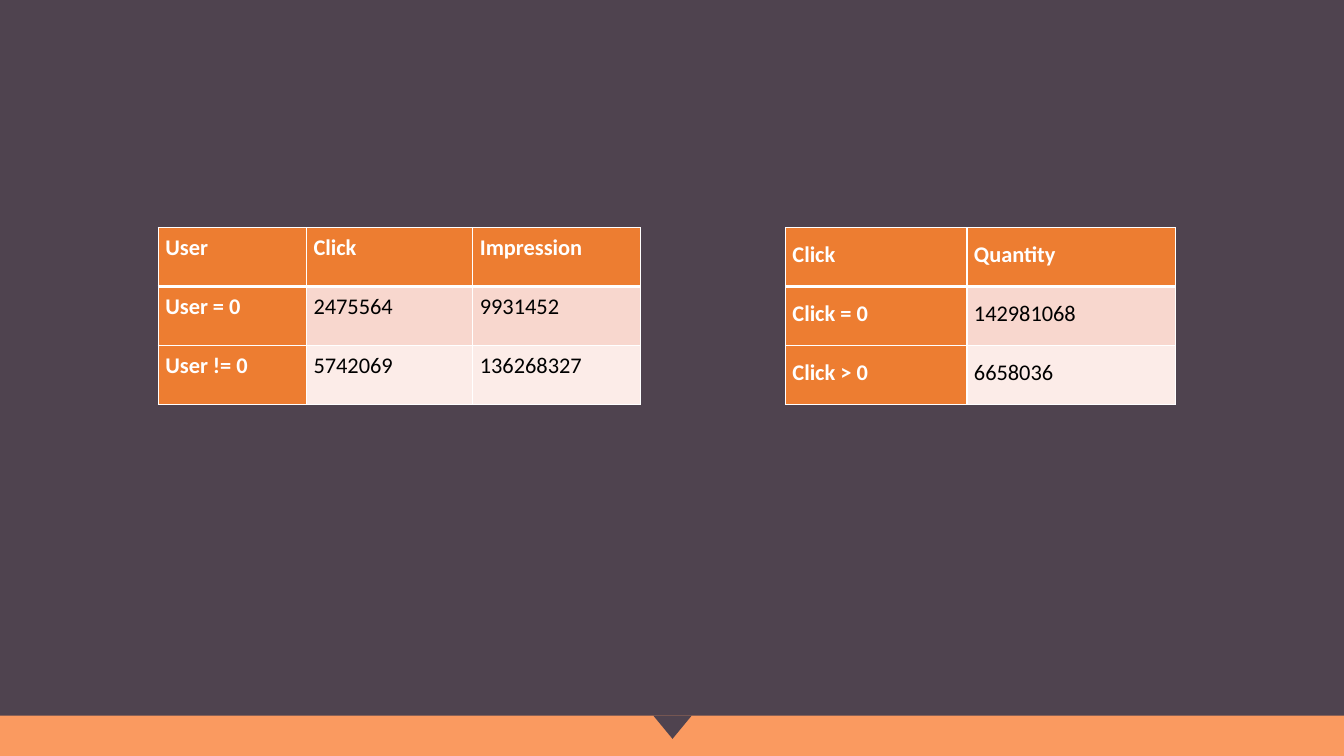
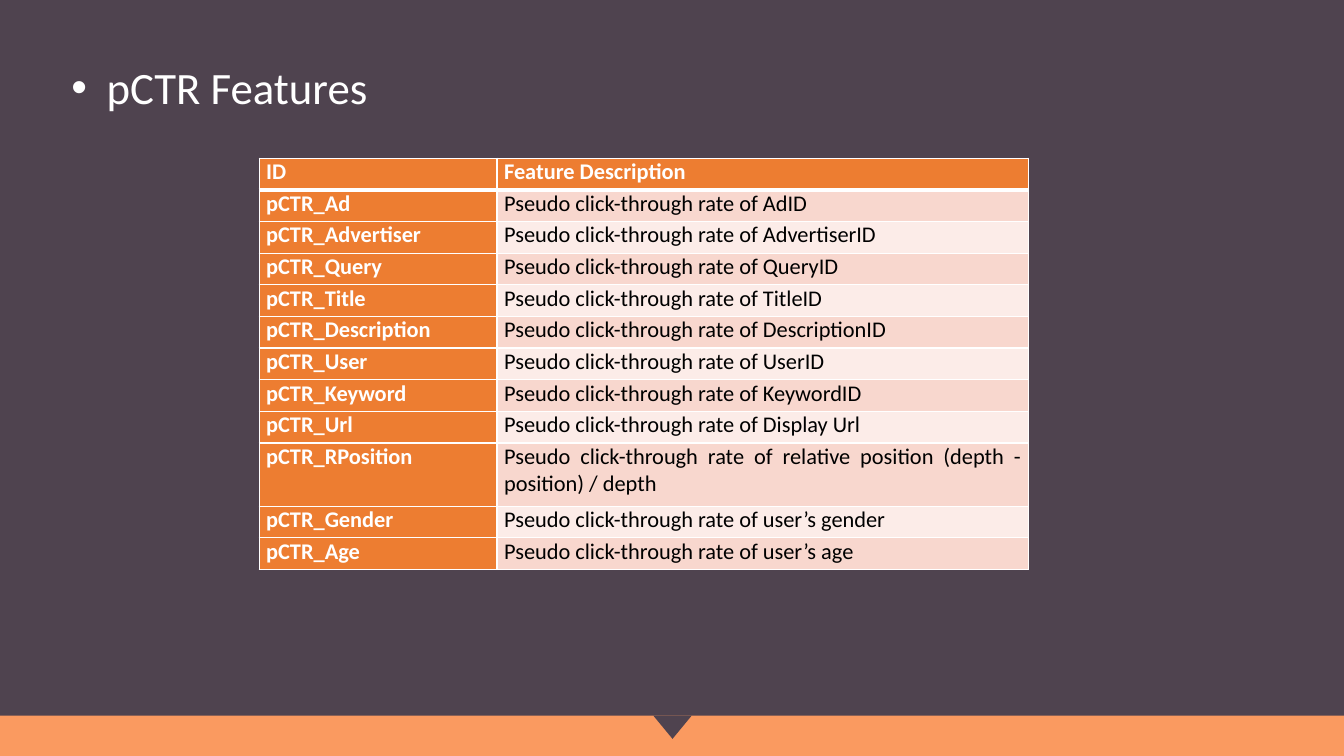
from lxml import etree
from pptx import Presentation
from pptx.dml.color import RGBColor
from pptx.enum.shapes import MSO_SHAPE
from pptx.enum.text import MSO_ANCHOR, MSO_AUTO_SIZE, PP_ALIGN
from pptx.oxml.ns import qn
from pptx.util import Inches, Pt

RECTANGLE, TRIANGLE = MSO_SHAPE.RECTANGLE, MSO_SHAPE.ISOSCELES_TRIANGLE
TOP, FIT_SHAPE = MSO_ANCHOR.TOP, MSO_AUTO_SIZE.SHAPE_TO_FIT_TEXT
LEFT, JUSTIFY = PP_ALIGN.LEFT, PP_ALIGN.JUSTIFY

COLORS = {
    "background": "4F434F",
    "band": "FA9A60",
    "header": "ED7D31",
    "odd_row": "F8D7CE",
    "even_row": "FCECE8",
    "light": "FFFFFF",
    "dark": "000000",
}
FONT = "Calibri"
WIDTH, HEIGHT = 13.33, 7.5
BAND_TOP = 7.1


def paint(fill, color):
    """Give a fill one solid colour from the palette."""
    fill.solid()
    fill.fore_color.rgb = RGBColor.from_string(COLORS[color])


class Deck:
    """Holds the shared style and the slide being built."""

    def __init__(self):
        """Start a presentation with the shared background."""
        self.prs = Presentation()
        self.prs.slide_width = Inches(WIDTH)
        self.prs.slide_height = Inches(HEIGHT)
        paint(self.prs.slide_master.background.fill, "background")
        self.slide = None

    def new_slide(self):
        """Add a blank slide with the notched footer band."""
        self.slide = self.prs.slides.add_slide(self.prs.slide_layouts[6])
        self.shape(RECTANGLE, 0, BAND_TOP, WIDTH, HEIGHT - BAND_TOP, "band")
        notch = self.shape(TRIANGLE, 6.48, BAND_TOP, 0.38, 0.23, "background")
        notch.rotation = 180

    def shape(self, preset, left, top, width, height, color):
        """Add a flat shape without an outline."""
        shape = self.slide.shapes.add_shape(
            preset, Inches(left), Inches(top), Inches(width), Inches(height))
        paint(shape.fill, color)
        shape.line.fill.background()
        shape.shadow.inherit = False
        return shape

    def style_text(self, paragraph, size, color, align, spacing, bold=False):
        """Format a paragraph and its runs."""
        paragraph.alignment = align
        paragraph.line_spacing = spacing
        for run in paragraph.runs:
            run.font.name = FONT
            run.font.size = Pt(size)
            run.font.bold = bold
            run.font.color.rgb = RGBColor.from_string(COLORS[color])

    def heading(self, text, left, top, width, height):
        """Add a bulleted heading."""
        box = self.slide.shapes.add_textbox(
            Inches(left), Inches(top), Inches(width), Inches(height))
        frame = box.text_frame
        frame.word_wrap = True
        frame.auto_size = FIT_SHAPE
        frame.text = text
        paragraph = frame.paragraphs[0]
        self.style_text(paragraph, 32, "light", LEFT, 0.9)
        paragraph.space_before = Pt(10)
        properties = paragraph._p.get_or_add_pPr()
        indent = Inches(0.35)
        properties.set("marL", str(indent))
        properties.set("indent", str(-indent))
        bullet_font = etree.SubElement(properties, qn("a:buFont"))
        bullet_font.set("typeface", "Arial")
        etree.SubElement(properties, qn("a:buChar")).set("char", "•")

    def borders(self, cell, top, bottom):
        """Draw white cell borders; top and bottom are widths in points."""
        properties = cell._tc.get_or_add_tcPr()
        for side, width in (("L", 1), ("R", 1), ("T", top), ("B", bottom)):
            line = etree.SubElement(properties, qn(f"a:ln{side}"), w=str(Pt(width)))
            fill = etree.SubElement(line, qn("a:solidFill"))
            etree.SubElement(fill, qn("a:srgbClr"), val=COLORS["light"])

    def table(self, rows, left, top, height, columns, spacing=1.0, tall_rows=()):
        """Add a table with header row and column; tall rows count double."""
        table = self.slide.shapes.add_table(
            len(rows), len(columns), Inches(left), Inches(top),
            Inches(sum(columns)), Inches(height)).table
        for column, width in zip(table.columns, columns):
            column.width = Inches(width)
        unit = height / (len(rows) + len(tall_rows))
        for r, texts in enumerate(rows):
            table.rows[r].height = Inches(unit * (2 if r in tall_rows else 1))
            for c, text in enumerate(texts):
                self.cell(table.cell(r, c), text, r, c, spacing)

    def cell(self, cell, text, row, column, spacing):
        """Fill and format one table cell by its position."""
        is_header = row == 0 or column == 0
        row_color = "odd_row" if row % 2 else "even_row"
        self.borders(cell, top=3 if row == 1 else 1, bottom=3 if row == 0 else 1)
        paint(cell.fill, "header" if is_header else row_color)
        cell.margin_left = cell.margin_right = Inches(0.07)
        cell.margin_top = cell.margin_bottom = 0
        cell.vertical_anchor = TOP
        cell.text_frame.text = text
        self.style_text(cell.text_frame.paragraphs[0], 16,
                        "light" if is_header else "dark",
                        JUSTIFY, spacing, is_header)


def build_click_counts(deck):
    """Build the slide with click counts by user and by click."""
    user_rows = [
        ("User", "Click", "Impression"),
        ("User = 0", "2475564", "9931452"),
        ("User != 0", "5742069", "136268327"),
    ]
    click_rows = [
        ("Click", "Quantity"),
        ("Click = 0", "142981068"),
        ("Click > 0", "6658036"),
    ]
    deck.new_slide()
    deck.table(user_rows, 1.57, 2.26, 1.75, (1.47, 1.65, 1.66), spacing=1.25)
    deck.table(click_rows, 7.79, 2.26, 1.75, (1.8, 2.07), spacing=1.5)


def build_features(deck):
    """Build the slide that lists the pCTR features."""
    features = [
        ("Ad", "AdID"),
        ("Advertiser", "AdvertiserID"),
        ("Query", "QueryID"),
        ("Title", "TitleID"),
        ("Description", "DescriptionID"),
        ("User", "UserID"),
        ("Keyword", "KeywordID"),
        ("Url", "Display Url"),
        ("RPosition", "relative position (depth - position) / depth"),
        ("Gender", "user’s gender"),
        ("Age", "user’s age"),
    ]
    rows = [("ID", "Feature Description")]
    rows += [(f"pCTR_{name}", f"Pseudo click-through rate of {subject}")
             for name, subject in features]
    deck.new_slide()
    deck.table(rows, 2.57, 1.57, 4.08, (2.36, 5.27), tall_rows=(9,))
    deck.heading("pCTR Features", 0.61, 0.6, 5.85, 0.59)


deck = Deck()
build_click_counts(deck)
build_features(deck)
deck.prs.save("out.pptx")
